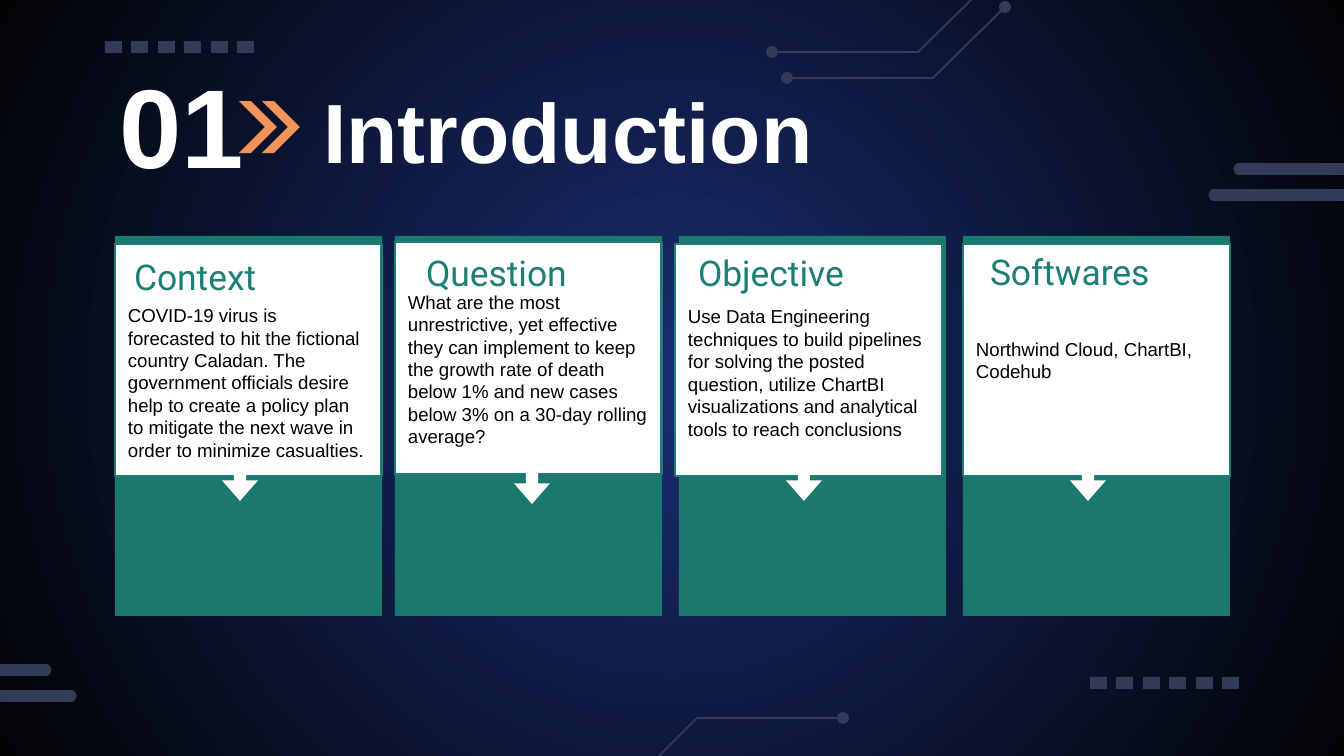
import pptx
import pptx.util
import pptx.oxml
from pptx.dml.color import RGBColor
from pptx.enum.shapes import MSO_CONNECTOR, MSO_SHAPE
from pptx.enum.text import MSO_ANCHOR, PP_ALIGN
from pptx.oxml.ns import nsdecls, qn

EMU_PER_PX = 914400 / 134.4
WIDTH, HEIGHT = 1344, 756
PAD = 13

WHITE = RGBColor(0xFF, 0xFF, 0xFF)
BLACK = RGBColor(0x00, 0x00, 0x00)
GLOW = RGBColor(0x19, 0x2C, 0x70)
NIGHT = RGBColor(0x02, 0x03, 0x05)
SLATE = RGBColor(0x32, 0x3B, 0x58)
ORANGE = RGBColor(0xF2, 0x93, 0x5B)
GREEN = RGBColor(0x1B, 0x78, 0x6F)
TEAL = RGBColor(0x1D, 0x7E, 0x75)


def px(n):
    return pptx.util.Emu(round(n * EMU_PER_PX))


def write(sp, text, size=10, font="Arial", color=BLACK, bold=False,
          anchor=MSO_ANCHOR.TOP, top=0):
    tf = sp.text_frame
    tf.word_wrap = True
    tf.vertical_anchor = anchor
    tf.margin_left = tf.margin_bottom = px(PAD)
    tf.margin_right = px(PAD + 1)
    tf.margin_top = px(PAD + top)
    p = tf.paragraphs[0]
    p.alignment = PP_ALIGN.LEFT
    r = p.add_run()
    r.text = text
    r.font.size = pptx.util.Pt(size)
    r.font.name = font
    r.font.bold = bold
    r.font.color.rgb = color


class Deck:
    def __init__(self):
        self.prs = pptx.Presentation()
        self.prs.slide_width, self.prs.slide_height = px(WIDTH), px(HEIGHT)
        self.s = self.prs.slides.add_slide(self.prs.slide_layouts[6])

    def background(self, inner, outer):
        fill = self.s.background.fill
        fill.gradient()
        for stop, color in zip(fill.gradient_stops, (inner, outer)):
            stop.color.rgb = color
        lin = next(self.s._element.iter(qn("a:lin")))
        lin.getparent().replace(lin, pptx.oxml.parse_xml(
            f'<a:path {nsdecls("a")} path="circle">'
            '<a:fillToRect l="50000" t="50000" r="50000" b="50000"/></a:path>'))

    def paint(self, sp, fill=None, line=None, weight=1):
        sp.shadow.inherit = False
        if fill is None:
            sp.fill.background()
        else:
            sp.fill.solid()
            sp.fill.fore_color.rgb = fill
        if line is None:
            sp.line.fill.background()
        else:
            sp.line.color.rgb = line
            sp.line.width = pptx.util.Pt(weight)
        return sp

    def shape(self, kind, x, y, w, h, **style):
        sp = self.s.shapes.add_shape(kind, px(x), px(y), px(w), px(h))
        return self.paint(sp, **style)

    def outline(self, points, close=True, **style):
        fb = self.s.shapes.build_freeform(*points[0], scale=EMU_PER_PX)
        fb.add_line_segments(points[1:], close=close)
        return self.paint(fb.convert_to_shape(), **style)

    def text(self, x, y, w, h, text, **fmt):
        sp = self.s.shapes.add_textbox(px(x), px(y), px(w), px(h))
        write(sp, text, **fmt)

    def bar(self, x1, x2, y):
        c = self.s.shapes.add_connector(
            MSO_CONNECTOR.STRAIGHT, px(x1), px(y), px(x2), px(y))
        c.line.color.rgb = SLATE
        c.line.width = pptx.util.Pt(6)
        c.line._get_or_add_ln().set("cap", "rnd")
        c._element.spPr.append(
            pptx.oxml.parse_xml(f'<a:effectLst {nsdecls("a")}/>'))

    def circuit(self, points, dots):
        self.outline(points, close=False, line=SLATE)
        for x, y in dots:
            self.shape(MSO_SHAPE.OVAL, x - 6, y - 6, 12, 12, fill=SLATE)

    def dashes(self, x, y):
        for i in range(6):
            self.shape(MSO_SHAPE.RECTANGLE, x + round(i * 26.4), y, 17, 12,
                       fill=SLATE)

    def chevron(self, x, y):
        steps = [(0, 0), (12, 0), (38, 26), (12, 52), (0, 52), (26, 26)]
        self.outline([(x + dx, y + dy) for dx, dy in steps], fill=ORANGE)

    def card(self, x, heading, body, box, head, arrow, top):
        self.shape(MSO_SHAPE.RECTANGLE, x, 236, 267, 380, fill=GREEN)
        sp = self.shape(MSO_SHAPE.RECTANGLE, *box, 267, 232,
                        fill=WHITE, line=TEAL, weight=1.5)
        write(sp, body, anchor=MSO_ANCHOR.MIDDLE, top=top)
        self.text(*head, 239, 63, heading, size=19, font="Roboto", color=TEAL)
        sp = self.shape(MSO_SHAPE.DOWN_ARROW, *arrow, 36, 36, fill=WHITE)
        sp.adjustments[0], sp.adjustments[1] = 0.34, 0.57


# x of card, heading, body, box corner, heading corner, arrow corner,
# extra space above the body
CARDS = [
    (115, "Context",
     "COVID-19 virus is forecasted to hit the fictional country Caladan. "
     "The government officials desire help to create a policy plan to "
     "mitigate the next wave in order to minimize casualties.",
     (115, 244), (121, 242), (222, 465), 45),
    (395, "Question",
     "What are the most unrestrictive, yet effective they can implement to "
     "keep the growth rate of death below 1% and new cases below 3% on a "
     "30-day rolling average?",
     (395, 242), (413, 238), (514, 468), 22),
    (679, "Objective",
     "Use Data Engineering techniques to build pipelines for solving the "
     "posted question, utilize ChartBI visualizations and analytical tools "
     "to reach conclusions",
     (675, 244), (685, 238), (786, 465), 25),
    (963, "Softwares", "Northwind Cloud, ChartBI, Codehub",
     (963, 244), (977, 237), (1070, 465), 0),
]


def main():
    d = Deck()
    d.background(GLOW, NIGHT)

    # Circuit traces
    d.circuit([(659, 756), (697, 718), (843, 718)], [(843, 718)])
    d.circuit([(787, 78), (933, 78), (1005, 7)], [(787, 78), (1005, 7)])
    d.circuit([(772, 52), (918, 52), (971, 0)], [(772, 52)])

    # Edge bars and dash rows
    for x1, x2, y in [(0, 46, 670), (0, 71, 696),
                      (1214, WIDTH, 195), (1239, WIDTH, 169)]:
        d.bar(x1, x2, y)
    d.dashes(1090, 677)
    d.dashes(105, 41)

    # Title
    d.text(310, 66, 526, 124, "Introduction", size=45, color=WHITE, bold=True)
    d.text(106, 80, 181, 124, "01", size=60, color=WHITE, bold=True,
           anchor=MSO_ANCHOR.BOTTOM)
    for x in (239, 262):
        d.chevron(x, 101)

    # Cards
    for card in CARDS:
        d.card(*card)

    d.prs.save("out.pptx")


if __name__ == "__main__":
    main()
